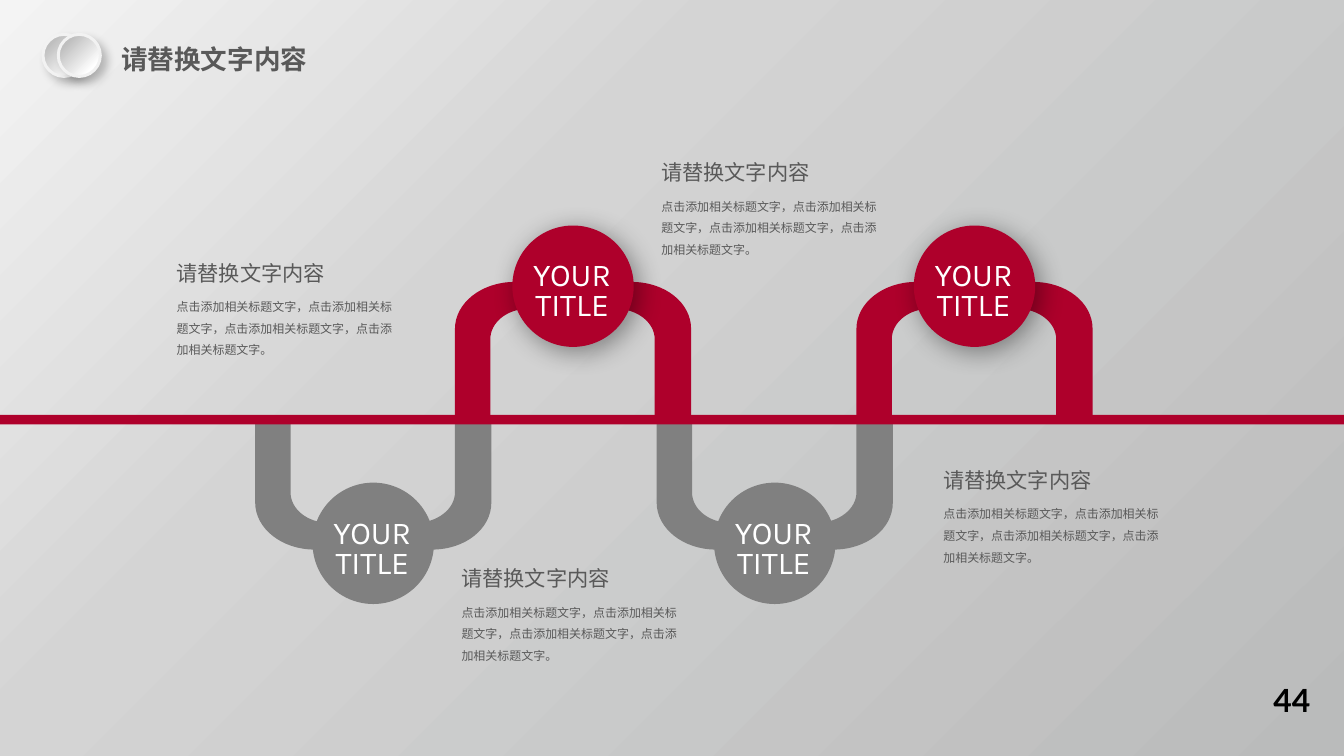
from lxml import etree
from pptx import Presentation
from pptx import util as u
from pptx.dml.color import RGBColor
from pptx.enum import shapes, text
from pptx.oxml.ns import qn

WIDTH, HEIGHT = 14.06, 7.91
COLORS = {"red": "AE002B", "gray": "808080", "text": "595959", "white": "FFFFFF",
          "black": "000000", "rim": "F2F2F2"}
PAGE_STOPS = [(0, "F4F4F4"), (35, "D4D4D4"), (100, "BABBBB")]
BADGE_STOPS = [(20, "BFBFBF"), (80, "FFFFFF"), (100, "FFFFFF")]
CJK = "Noto Sans CJK SC"

HEADING = "请替换文字内容"
DETAIL = "，".join(["点击添加相关标题文字"] * 4) + "。"
LOOP_TITLE = "YOUR TITLE"
PAGE_NUMBER = "44"
LOOPS = [(2.67, "down"), (4.76, "up"), (6.87, "down"), (8.96, "up")]
NOTES = [(1.75, 2.67), (4.73, 5.87), (6.82, 1.62), (9.77, 4.84)]

BAR_TOP, BAR_HEIGHT = 4.34, 0.1
DISC, BADGE = 1.27, 0.44
# Loop outline as (across, away from the bar); three points make a Bezier curve.
OUTLINE = [
    [(0.37, 0)], [(0.37, 0.79)],
    [(0.37, 0.97), (0.55, 1.11), (0.77, 1.11)], [(1.68, 1.11)],
    [(1.9, 1.11), (2.09, 0.97), (2.09, 0.79)], [(2.09, 0)],
    [(2.47, 0)], [(2.47, 0.9)],
    [(2.47, 1.17), (2.2, 1.39), (1.85, 1.39)], [(0.62, 1.39)],
    [(0.28, 1.39), (0, 1.17), (0, 0.9)],
]
# Kind of loop: colour, direction, bar edge, disc top, title offset
STYLES = {"up": ("red", -1, 4.34, 2.36, 0.33), "down": ("gray", 1, 4.36, 5.05, 0.34)}

deck = Presentation()
deck.slide_width, deck.slide_height = u.Inches(WIDTH), u.Inches(HEIGHT)
page = deck.slides.add_slide(deck.slide_layouts[6])


def rgb(name):
    return RGBColor.from_string(COLORS[name])


def set_gradient(fill, owner, stops):
    """Give a fill, found inside the owner element, a 45 degree gradient."""
    fill.gradient()
    grad = next(owner.iter(qn("a:gradFill")))
    stop_list = grad.find(qn("a:gsLst"))
    for old in list(stop_list):
        stop_list.remove(old)
    for share, color in stops:
        stop = etree.SubElement(stop_list, qn("a:gs"), pos=str(share * 1000))
        etree.SubElement(stop, qn("a:srgbClr"), val=color)
    grad.find(qn("a:lin")).set("ang", str(45 * 60000))


def add_shadow(shape, alpha, blur, distance):
    effects = shape._element.spPr.find(qn("a:effectLst"))
    shadow = etree.SubElement(
        effects, qn("a:outerShdw"), blurRad=str(u.Pt(blur)), dist=str(u.Pt(distance)),
        dir=str(45 * 60000), algn="tl", rotWithShape="0")
    color = etree.SubElement(shadow, qn("a:srgbClr"), val=COLORS["black"])
    etree.SubElement(color, qn("a:alpha"), val=str(alpha * 1000))


def paint(shape, color):
    shape.shadow.inherit = False
    shape.fill.solid()
    shape.fill.fore_color.rgb = rgb(color)
    shape.line.fill.background()


def add_preset(kind, left, top, width, height):
    return page.shapes.add_shape(kind, *map(u.Inches, (left, top, width, height)))


def add_text(words, left, top, width, height, size, font, color,
             bold=False, wrap=True, centered=False, spacing=1.0):
    box = page.shapes.add_textbox(*map(u.Inches, (left, top, width, height)))
    box.text_frame.text = words
    box.text_frame.word_wrap = wrap
    para = box.text_frame.paragraphs[0]
    para.alignment = text.PP_ALIGN.CENTER if centered else text.PP_ALIGN.LEFT
    para.line_spacing = spacing
    span = para.runs[0]
    span.font.size, span.font.name, span.font.bold = u.Pt(size), font, bold
    span.font.color.rgb = rgb(color)
    if not words.isascii():
        etree.SubElement(span._r.get_or_add_rPr(), qn("a:ea"), typeface=CJK)


def bend_corners(loop):
    """Turn each run of three outline points into one Bezier curve."""
    segments = iter(list(loop._element.iter(qn("a:lnTo"))))
    for part in OUTLINE:
        lines = [next(segments) for _ in part]
        if len(part) == 3:
            curve = etree.Element(qn("a:cubicBezTo"))
            lines[0].addprevious(curve)
            for line in lines:
                curve.append(line[0])
                line.getparent().remove(line)


def add_loop(left, kind):
    color, direction, edge, disc_top, _ = STYLES[kind]
    builder = page.shapes.build_freeform(u.Inches(left), u.Inches(edge))
    builder.add_line_segments(
        [(u.Inches(left + x), u.Inches(edge + direction * y))
         for part in OUTLINE for x, y in part], close=True)
    loop = builder.convert_to_shape()
    bend_corners(loop)
    paint(loop, color)
    disc = add_preset(shapes.MSO_SHAPE.OVAL, left + 0.6, disc_top, DISC, DISC)
    paint(disc, color)
    if kind == "up":
        add_shadow(disc, 40, 20, 5)


set_gradient(page.background.fill, page._element, PAGE_STOPS)

for left, kind in LOOPS:
    add_loop(left, kind)
bar = add_preset(shapes.MSO_SHAPE.RECTANGLE, 0, BAR_TOP, WIDTH, BAR_HEIGHT)
paint(bar, "red")
for left, kind in LOOPS:
    disc_top, offset = STYLES[kind][3:]
    add_text(LOOP_TITLE, left + 0.68, disc_top + offset, 1.09, 0.75, 24, "Karla", "white",
             centered=True, spacing=0.8)

for left, top in NOTES:
    add_text(DETAIL, left, top + 0.34, 2.55, 0.78, 9, CJK, "text", spacing=1.5)
    add_text(HEADING, left, top, 1.77, 0.37, 16, "Calibri", "text", wrap=False)

add_text(HEADING, 1.17, 0.4, 2.17, 0.44, 20, "Calibri", "text", bold=True, wrap=False)
for left in (0.45, 0.61):
    badge = add_preset(shapes.MSO_SHAPE.OVAL, left, 0.36, BADGE, BADGE)
    badge.shadow.inherit = False
    set_gradient(badge.fill, badge._element.spPr, BADGE_STOPS)
    badge.line.color.rgb = rgb("rim")
    badge.line.width = u.Pt(2.25)
    add_shadow(badge, 23, 7, 5.9)
add_text(PAGE_NUMBER, 13.22, 7.07, 0.59, 0.5, 24, "Lato", "black",
         bold=True, centered=True)

deck.save("out.pptx")
